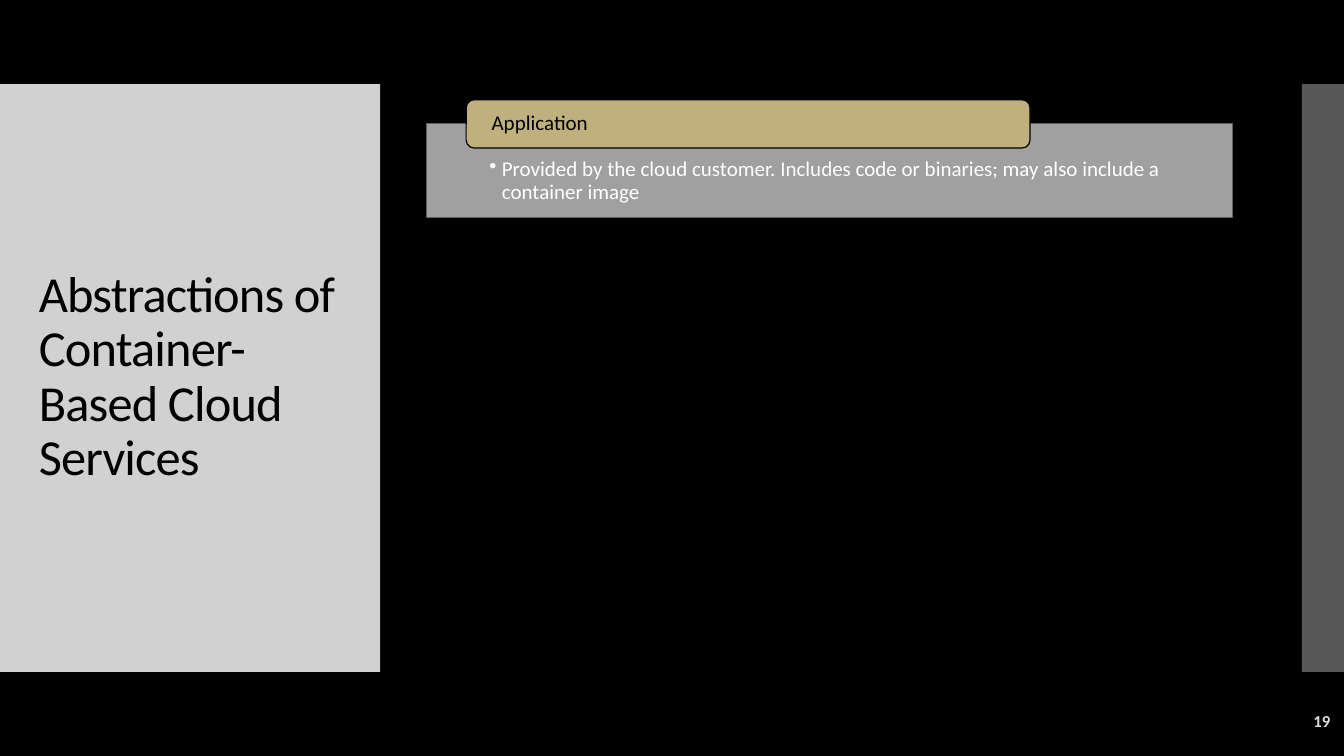
from lxml.etree import SubElement
from pptx import Presentation
from pptx.dml.color import RGBColor
from pptx.enum.shapes import MSO_SHAPE
from pptx.enum.text import MSO_ANCHOR, PP_ALIGN
from pptx.oxml.ns import qn
from pptx.util import Emu, Pt

SCALE = 9525


def px(n):
    """Turn px into EMU."""
    return Emu(n * SCALE)


def color(value):
    """Turn a hex string into a colour."""
    return RGBColor.from_string(value)


def add_block(slide, box, fill, kind=MSO_SHAPE.RECTANGLE, opacity=100, line=None):
    """Draw a filled shape with optional transparency and outline."""
    sp = slide.shapes.add_shape(kind, *map(px, box))
    sp.shadow.inherit = False
    sp.fill.solid()
    sp.fill.fore_color.rgb = color(fill)
    if opacity < 100:
        clr = sp.fill._xPr.find(qn("a:solidFill"))[0]
        SubElement(clr, qn("a:alpha")).set("val", str(opacity * 1000))
    if line:
        sp.line.color.rgb = color(line)
        sp.line.width = Pt(0.85)
    else:
        sp.line.fill.background()
    return sp


def set_text(sp, text, size, ink, insets=(10, 5, 10, 5), anchor=MSO_ANCHOR.MIDDLE,
             align=PP_ALIGN.LEFT, spacing=0.9, bullet=0):
    """Write one paragraph in a shape, with a bullet indent in px if given."""
    tf = sp.text_frame
    tf.word_wrap = True
    tf.vertical_anchor = anchor
    tf.margin_left, tf.margin_top, tf.margin_right, tf.margin_bottom = map(px, insets)
    p = tf.paragraphs[0]
    p.text = text
    p.alignment = align
    p.line_spacing = spacing
    if bullet:
        pPr = p._p.get_or_add_pPr()
        pPr.set("marL", str(px(bullet)))
        pPr.set("indent", str(px(-bullet)))
        SubElement(pPr, qn("a:buChar")).set("char", "•")
    r = p.runs[0]
    r.font.name = "Calibri"
    r.font.size = Pt(size)
    r.font.color.rgb = color(ink)
    return r


def add_title_panel(slide, box, title):
    """Draw the pale side panel with the slide title."""
    x, y, w, h = box
    add_block(slide, box, "DDDDDD", opacity=95)
    tb = slide.shapes.add_textbox(px(x + 27), px(y + 38), px(w - 53), px(h - 77))
    r = set_text(tb, title, 36, "000000")
    r.font._element.set("spc", "-60")


def add_layer(slide, box, name, detail):
    """Draw a detail box with a name tab over its top edge."""
    x, y, w, h = box
    body = add_block(slide, box, "B2B2B2", opacity=90, line="5F5F5F")
    set_text(body, detail, 15, "FFFFFF", (60, 33, 60, 12), MSO_ANCHOR.TOP, bullet=12)
    tab = add_block(slide, (x + 38, y - 23, w * 7 // 10, 46), "BFB07D",
                    MSO_SHAPE.ROUNDED_RECTANGLE, line="000000")
    set_text(tab, name, 15, "000000", (22, 0, 22, 0))


def add_page_number(slide, box, number):
    """Write the page number at the right of its box."""
    tb = slide.shapes.add_textbox(*map(px, box))
    r = set_text(tb, number, 12, "DDDDDD", align=PP_ALIGN.RIGHT, spacing=1.0)
    r.font.bold = True


def main():
    """Build and save the slide."""
    prs = Presentation()
    prs.slide_width, prs.slide_height = px(1280), px(720)
    slide = prs.slides.add_slide(prs.slide_layouts[6])
    slide.background.fill.solid()
    slide.background.fill.fore_color.rgb = color("000000")
    add_title_panel(slide, (0, 80, 362, 560),
                    "Abstractions of Container-Based Cloud Services")
    add_block(slide, (1240, 80, 40, 560), "DDDDDD", opacity=40)
    add_layer(slide, (406, 118, 768, 89), "Application",
              "Provided by the cloud customer. Includes code or binaries; "
              "may also include a container image")
    add_page_number(slide, (1117, 667, 160, 39), "19")
    prs.save("out.pptx")


if __name__ == "__main__":
    main()
